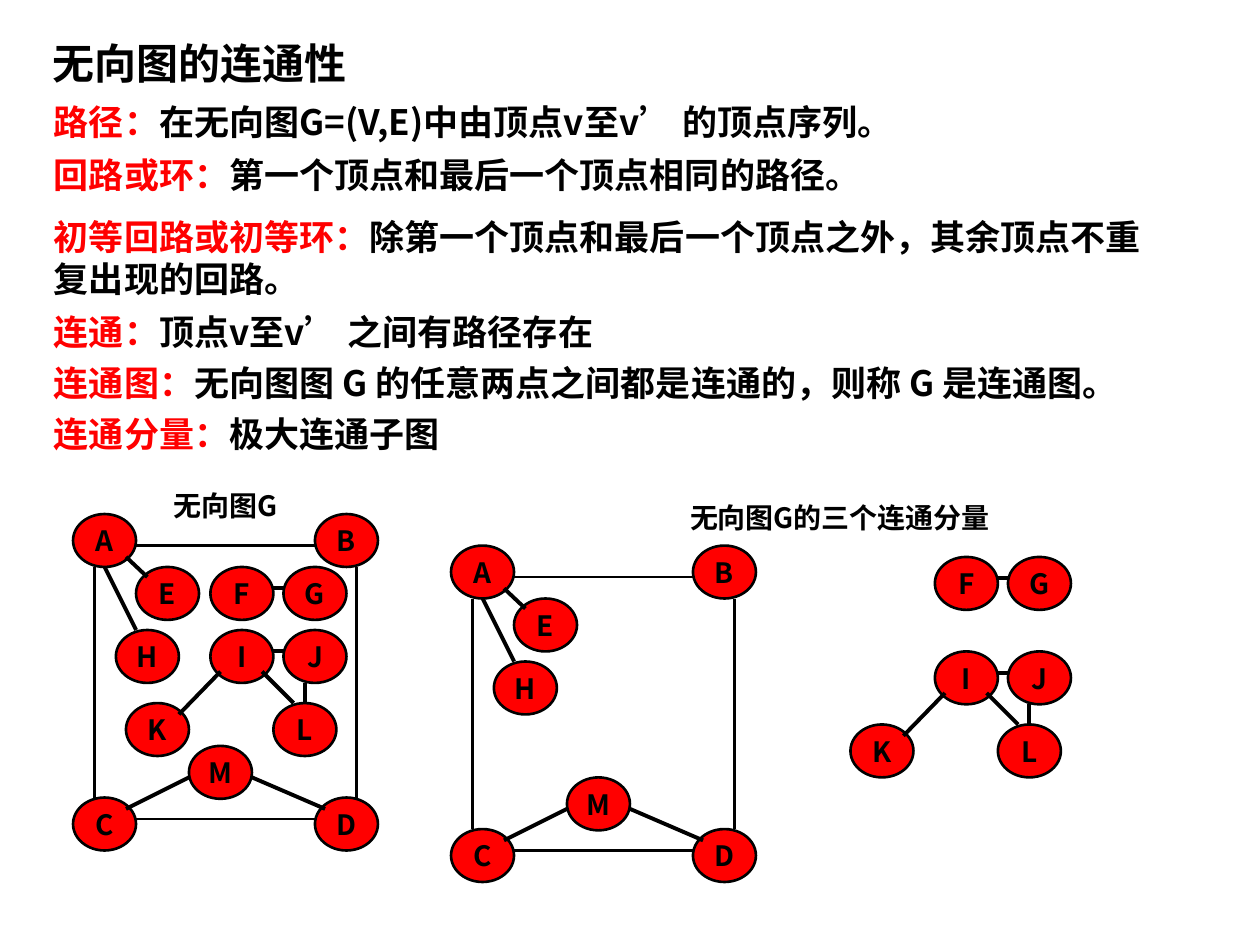
from lxml import etree
from pptx import Presentation
from pptx.dml.color import RGBColor
from pptx.enum.shapes import MSO_CONNECTOR, MSO_SHAPE
from pptx.enum.text import MSO_ANCHOR, PP_ALIGN
from pptx.oxml.ns import qn
from pptx.util import Inches, Pt

RED = RGBColor(0xFF, 0x00, 0x00)
BLACK = RGBColor(0x00, 0x00, 0x00)
FONT = "Noto Sans CJK SC"
QUOTE_FONT = "Arial"
NODE_W, NODE_H = 0.5, 0.42
THIN, THICK = 1.5, 2.25

# (line spacing, term, explanation runs); a run starting with ’ uses QUOTE_FONT
DEFINITIONS = [
    (None, "路径：", ["在无向图G=(V,E)中由顶点v至v", "’ ", "的顶点序列。"]),
    (0.7, "回路或环：", ["第一个顶点和最后一个顶点相同的路径。"]),
    (None, "初等回路或初等环：",
     ["除第一个顶点和最后一个顶点之外，其余顶点不重复出现的回路。"]),
    (0.7, "连通：", ["顶点v至v", "’ ", "之间有路径存在"]),
    (0.7, "连通图：", ["无向图图 G 的任意两点之间都是连通的，则称 G 是连通图。"]),
    (0.7, "连通分量：", ["极大连通子图"]),
]

# Each component: nodes by top-left corner, edges as (x1, y1, x2, y2, width)
SQUARE = (
    {"A": (0.58, 4.08), "B": (2.5, 4.08), "C": (0.58, 6.33), "D": (2.5, 6.33),
     "E": (1.08, 4.5), "H": (0.92, 5), "M": (1.5, 5.92)},
    [(1.08, 4.33, 2.5, 4.33, THIN), (0.75, 4.5, 0.75, 6.33, THIN),
     (2.83, 4.5, 2.83, 6.33, THIN), (1.08, 6.5, 2.5, 6.5, THIN),
     (2, 6.17, 2.58, 6.42, THICK), (1, 6.42, 1.5, 6.17, THICK),
     (0.83, 4.5, 1.08, 5, THICK), (1, 4.42, 1.17, 4.58, THICK)],
)
PAIR = (
    {"F": (1.67, 4.5), "G": (2.25, 4.5)},
    [(2.17, 4.67, 2.25, 4.67, THICK)],
)
TRIANGLE = (
    {"I": (1.67, 5), "J": (2.25, 5), "L": (2.17, 5.58), "K": (1, 5.58)},
    [(2.42, 5.58, 2.42, 5.42, THICK), (1.42, 5.67, 1.75, 5.33, THICK),
     (2.17, 5.17, 2.25, 5.17, THICK), (2.33, 5.58, 2.08, 5.33, THICK)],
)
# The whole graph, then its components moved apart
PLACEMENTS = [
    (SQUARE, 0, 0), (PAIR, 0, 0), (TRIANGLE, 0, 0),
    (SQUARE, 3, 0.25), (PAIR, 5.75, -0.08), (TRIANGLE, 5.75, 0.17),
]


class GraphSlide:
    def __init__(self, prs):
        self.slide = prs.slides.add_slide(prs.slide_layouts[5])
        self.shapes = self.slide.shapes

    def style(self, run, size, color=BLACK, font=FONT):
        run.font.size = Pt(size)
        run.font.bold = True
        run.font.name = font
        run.font.color.rgb = color
        ea = etree.SubElement(run._r.get_or_add_rPr(), qn("a:ea"))
        ea.set("typeface", FONT)

    def centered(self, sp, text, size):
        tf = sp.text_frame
        tf.text = text
        p = tf.paragraphs[0]
        p.alignment = PP_ALIGN.CENTER
        self.style(p.runs[0], size)
        return tf

    def title(self, text, x, y, w, h):
        sp = self.shapes.title
        sp.left, sp.top, sp.width, sp.height = map(Inches, (x, y, w, h))
        tf = self.centered(sp, text, 24)
        tf.vertical_anchor = MSO_ANCHOR.TOP
        tf.word_wrap = True

    def caption(self, text, x, y, w, h):
        sp = self.shapes.add_textbox(*map(Inches, (x, y, w, h)))
        self.centered(sp, text, 16).word_wrap = True

    def definitions(self, items, x, y, w, h):
        tf = self.shapes.add_textbox(*map(Inches, (x, y, w, h))).text_frame
        tf.word_wrap = True
        for i, (spacing, term, parts) in enumerate(items):
            p = tf.add_paragraph() if i else tf.paragraphs[0]
            if i:
                p.space_before = Pt(12.5)
            if spacing:
                p.line_spacing = spacing
            for text in [term, *parts]:
                r = p.add_run()
                r.text = text
                self.style(r, 20, RED if text == term else BLACK,
                           QUOTE_FONT if text.startswith("’") else FONT)

    def node(self, label, x, y):
        sp = self.shapes.add_shape(
            MSO_SHAPE.OVAL, *map(Inches, (x, y, NODE_W, NODE_H)))
        sp.shadow.inherit = False
        sp.fill.solid()
        sp.fill.fore_color.rgb = RED
        sp.line.color.rgb = BLACK
        sp.line.width = Pt(THIN)
        tf = self.centered(sp, label, 16)
        tf.vertical_anchor = MSO_ANCHOR.MIDDLE
        tf.word_wrap = False

    def edge(self, x1, y1, x2, y2, width):
        line = self.shapes.add_connector(
            MSO_CONNECTOR.STRAIGHT, *map(Inches, (x1, y1, x2, y2)))
        line.line.color.rgb = BLACK
        line.line.width = Pt(width)
        etree.SubElement(line._element.spPr, qn("a:effectLst"))

    def component(self, parts, dx, dy):
        nodes, edges = parts
        for label, (x, y) in nodes.items():
            self.node(label, x + dx, y + dy)
        for x1, y1, x2, y2, width in edges:
            self.edge(x1 + dx, y1 + dy, x2 + dx, y2 + dy, width)


def main():
    prs = Presentation()
    prs.slide_width, prs.slide_height = Inches(10), Inches(7.5)
    slide = GraphSlide(prs)
    slide.title("无向图的连通性", 0.25, 0.25, 2.67, 0.5)
    slide.definitions(DEFINITIONS, 0.33, 0.75, 9, 2.91)
    for parts, dx, dy in PLACEMENTS:
        slide.component(parts, dx, dy)
    slide.caption("无向图G", 1.08, 3.83, 1.42, 0.37)
    slide.caption("无向图G的三个连通分量", 5.25, 3.92, 2.83, 0.37)
    prs.save("out.pptx")


if __name__ == "__main__":
    main()
